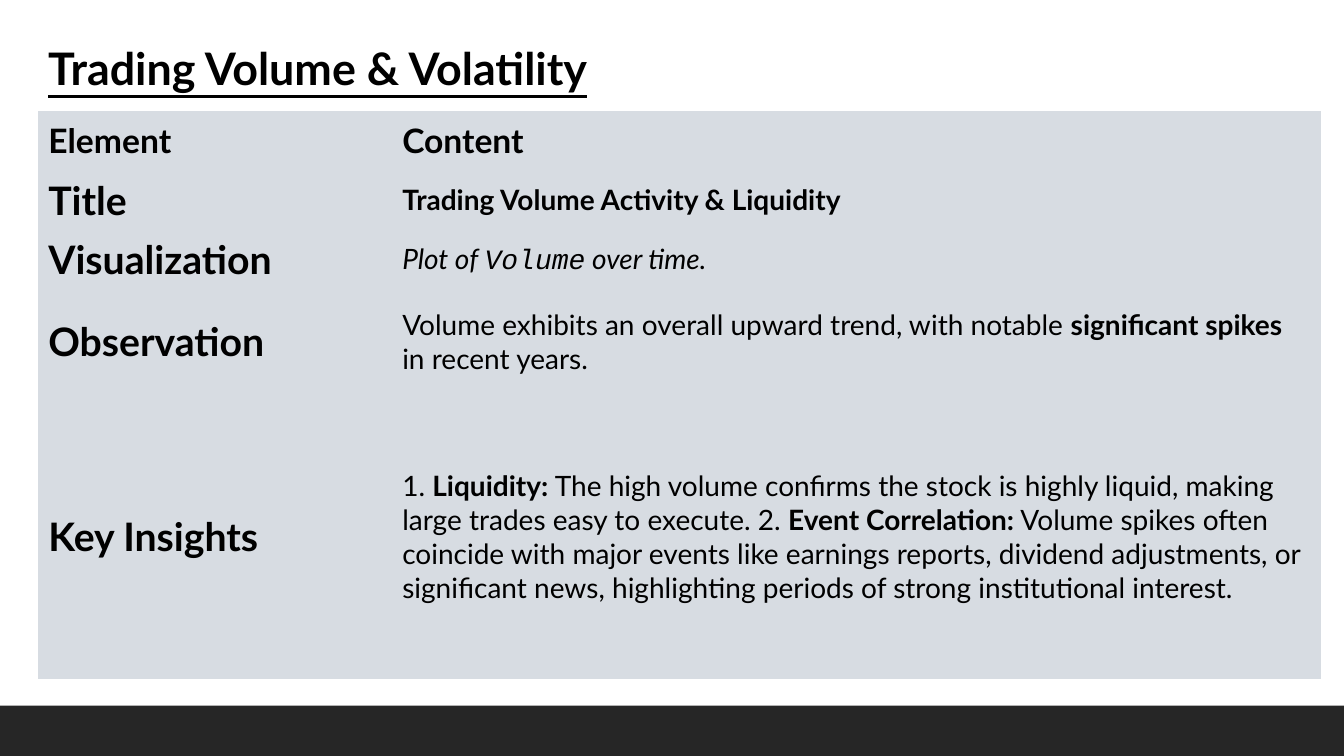
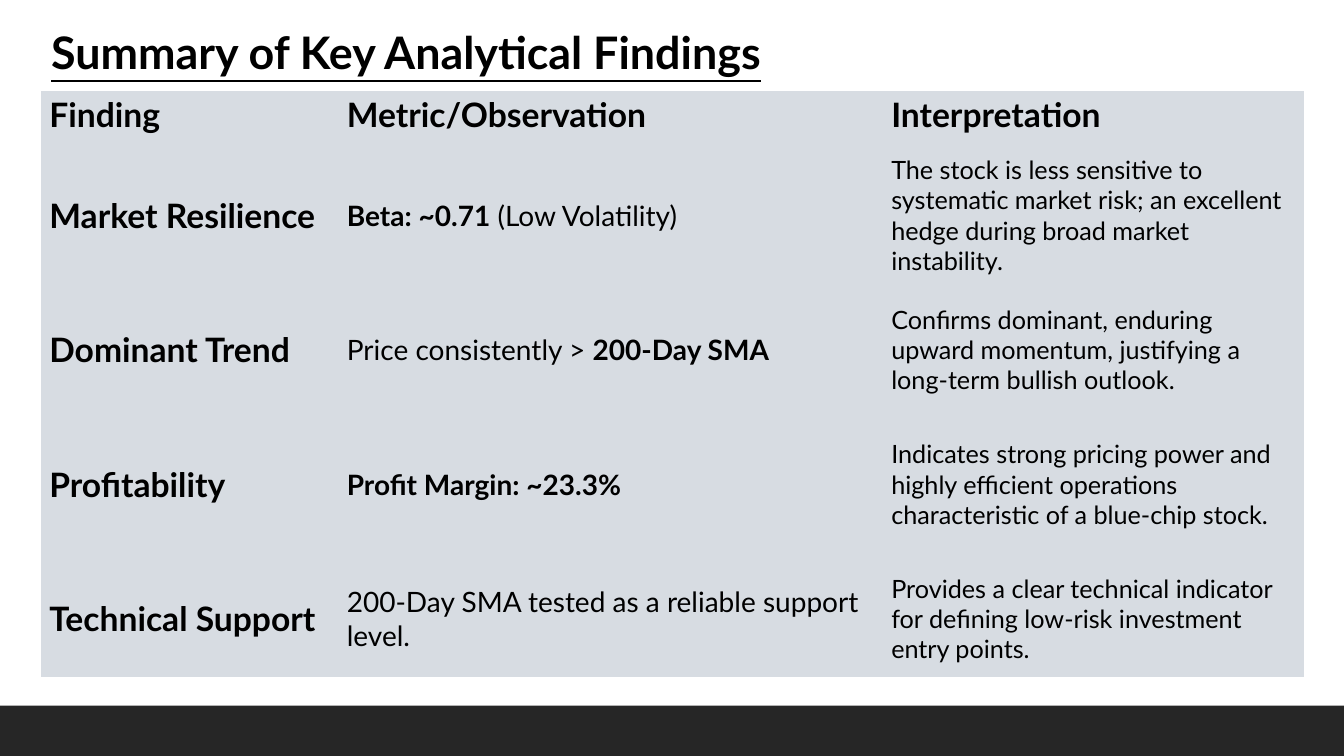
from pptx import Presentation
from pptx.dml.color import RGBColor
from pptx.enum import shapes, text
from pptx.util import Inches, Pt

FONT = "Lato"
BLACK = RGBColor(0x00, 0x00, 0x00)
BAND = RGBColor(0x26, 0x26, 0x26)
CELL = RGBColor(0xD7, 0xDC, 0xE2)
NO_STYLE = "{2D5ABB26-0587-4C30-8999-92F81FD0307C}"
WIDTH, HEIGHT, BAND_HEIGHT = 13.33, 7.5, 0.5
HEADER_SIZE = 24

BOLD = {"bold": True}
ITALIC = {"italic": True}
CODE = {"italic": True, "font": "Courier New"}

# Content: a cell is plain text or a list of (text, format) runs
SLIDES = [
    {
        "title": "Trading Volume & Volatility",
        "title_at": (0.38, 0.35, 9.97, 0.64),
        "table_at": (0.38, 1.1),
        "columns": (3.51, 9.21),
        "rows": (0.59, 0.59, 0.59, 1.04, 2.83),
        "sizes": (28, 20),
        "margins": (0.1, 0.05),
        "cells": [
            ("Element", "Content"),
            ("Title", [("Trading Volume Activity & Liquidity", BOLD)]),
            ("Visualization",
             [("Plot of ", ITALIC), ("Volume", CODE), (" over time.", ITALIC)]),
            ("Observation",
             [("Volume exhibits an overall upward trend, with notable ", {}),
              ("significant spikes", BOLD), (" in recent years.", {})]),
            ("Key Insights",
             [("1. ", {}), ("Liquidity:", BOLD),
              (" The high volume confirms the stock is highly liquid, making "
               "large trades easy to execute. 2. ", {}),
              ("Event Correlation:", BOLD),
              (" Volume spikes often coincide with major events like earnings "
               "reports, dividend adjustments, or significant news, "
               "highlighting periods of strong institutional interest.", {})]),
        ],
    },
    {
        "title": "Summary of Key Analytical Findings",
        "title_at": (0.41, 0.2, 11.33, 0.64),
        "table_at": (0.41, 0.9),
        "columns": (2.95, 5.4, 4.17),
        "rows": (0.46, 1.51, 1.16, 1.51, 1.16),
        "sizes": (24, 20, 18),
        "margins": (0.08, 0.04),
        "cells": [
            ("Finding", "Metric/Observation", "Interpretation"),
            ("Market Resilience",
             [("Beta: ~0.71", BOLD), (" (Low Volatility)", {})],
             "The stock is less sensitive to systematic market risk; an "
             "excellent hedge during broad market instability."),
            ("Dominant Trend",
             [("Price consistently > ", {}), ("200-Day SMA", BOLD)],
             "Confirms dominant, enduring upward momentum, justifying a "
             "long-term bullish outlook."),
            ("Profitability",
             [("Profit Margin: ~23.3%", BOLD)],
             "Indicates strong pricing power and highly efficient operations "
             "characteristic of a blue-chip stock."),
            ("Technical Support",
             "200-Day SMA tested as a reliable support level.",
             "Provides a clear technical indicator for defining low-risk "
             "investment entry points."),
        ],
    },
]


def add_text(paragraph, words, size, font=FONT, bold=False, italic=False,
             underline=False):
    run = paragraph.add_run()
    run.text = words
    run.font.name, run.font.size = font, Pt(size)
    run.font.bold, run.font.italic = bold, italic
    run.font.underline = underline
    run.font.color.rgb = BLACK


def add_band(slide):
    band = slide.shapes.add_shape(
        shapes.MSO_SHAPE.RECTANGLE, 0, Inches(HEIGHT - BAND_HEIGHT),
        Inches(WIDTH), Inches(BAND_HEIGHT))
    band.shadow.inherit = False
    band.fill.solid()
    band.fill.fore_color.rgb = BAND
    band.line.fill.background()


def add_title(slide, words, at):
    frame = slide.shapes.add_textbox(*map(Inches, at)).text_frame
    frame.word_wrap = True
    add_text(frame.paragraphs[0], words, 32, bold=True, underline=True)


def fill_cell(cell, content, size, bold, margins):
    cell.fill.solid()
    cell.fill.fore_color.rgb = CELL
    cell.vertical_anchor = text.MSO_ANCHOR.MIDDLE
    cell.margin_left = cell.margin_right = Inches(margins[0])
    cell.margin_top = cell.margin_bottom = Inches(margins[1])
    runs = [(content, {"bold": bold})] if isinstance(content, str) else content
    for words, style in runs:
        add_text(cell.text_frame.paragraphs[0], words, size, **style)


def add_findings(slide, data):
    columns, rows = data["columns"], data["rows"]
    frame = slide.shapes.add_table(
        len(rows), len(columns), *map(Inches, data["table_at"]),
        Inches(sum(columns)), Inches(sum(rows)))
    table = frame.table
    table.first_row = table.horz_banding = False
    table._tbl.tblPr[0].text = NO_STYLE
    for column, width in zip(table.columns, columns):
        column.width = Inches(width)
    for r, (height, contents) in enumerate(zip(rows, data["cells"])):
        table.rows[r].height = Inches(height)
        for c, content in enumerate(contents):
            size = HEADER_SIZE if r == 0 else data["sizes"][c]
            fill_cell(table.cell(r, c), content, size, r == 0 or c == 0,
                      data["margins"])


def main():
    deck = Presentation()
    deck.slide_width, deck.slide_height = Inches(WIDTH), Inches(HEIGHT)
    for data in SLIDES:
        slide = deck.slides.add_slide(deck.slide_layouts[6])
        add_band(slide)
        add_title(slide, data["title"], data["title_at"])
        add_findings(slide, data)
    deck.save("out.pptx")


if __name__ == "__main__":
    main()
